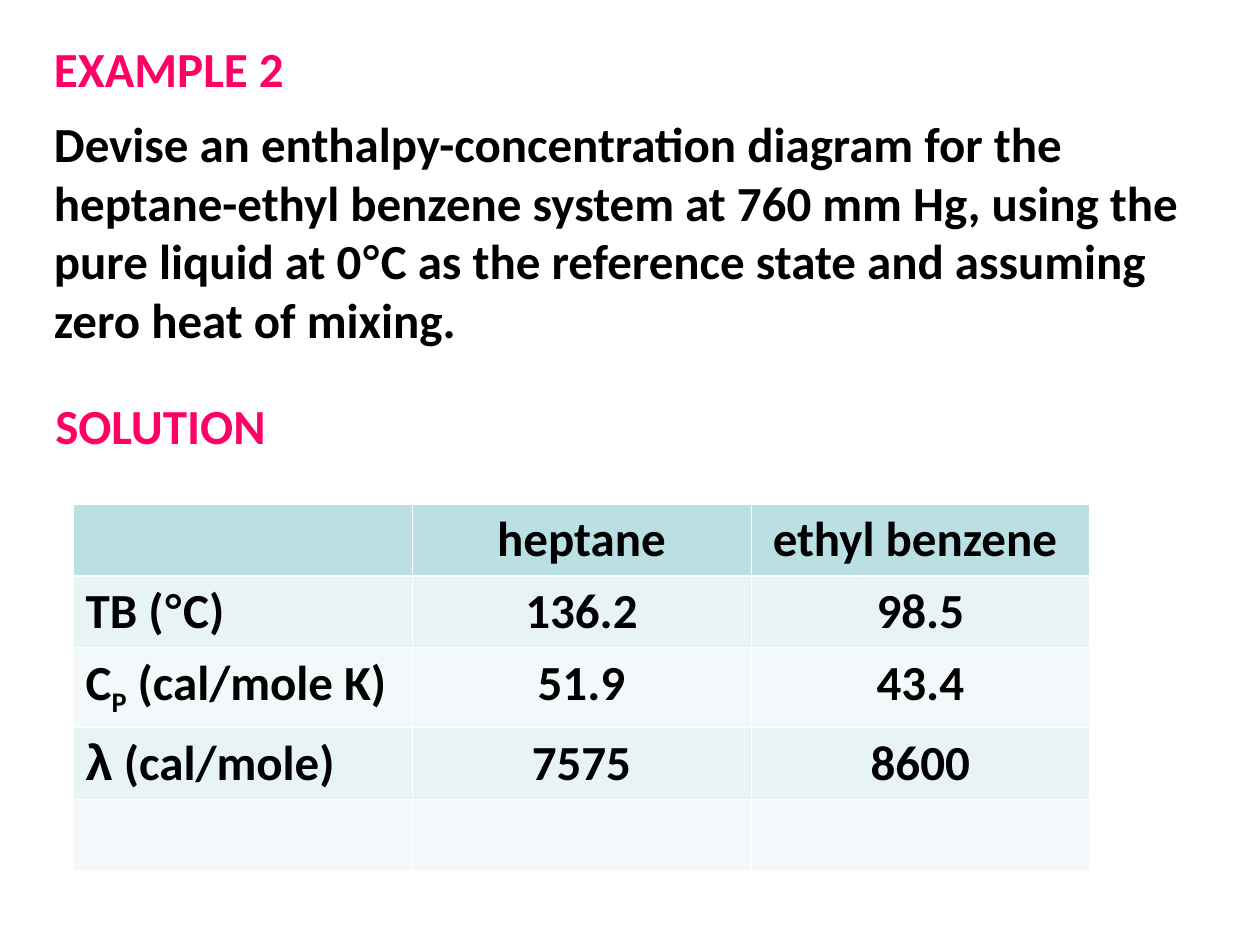
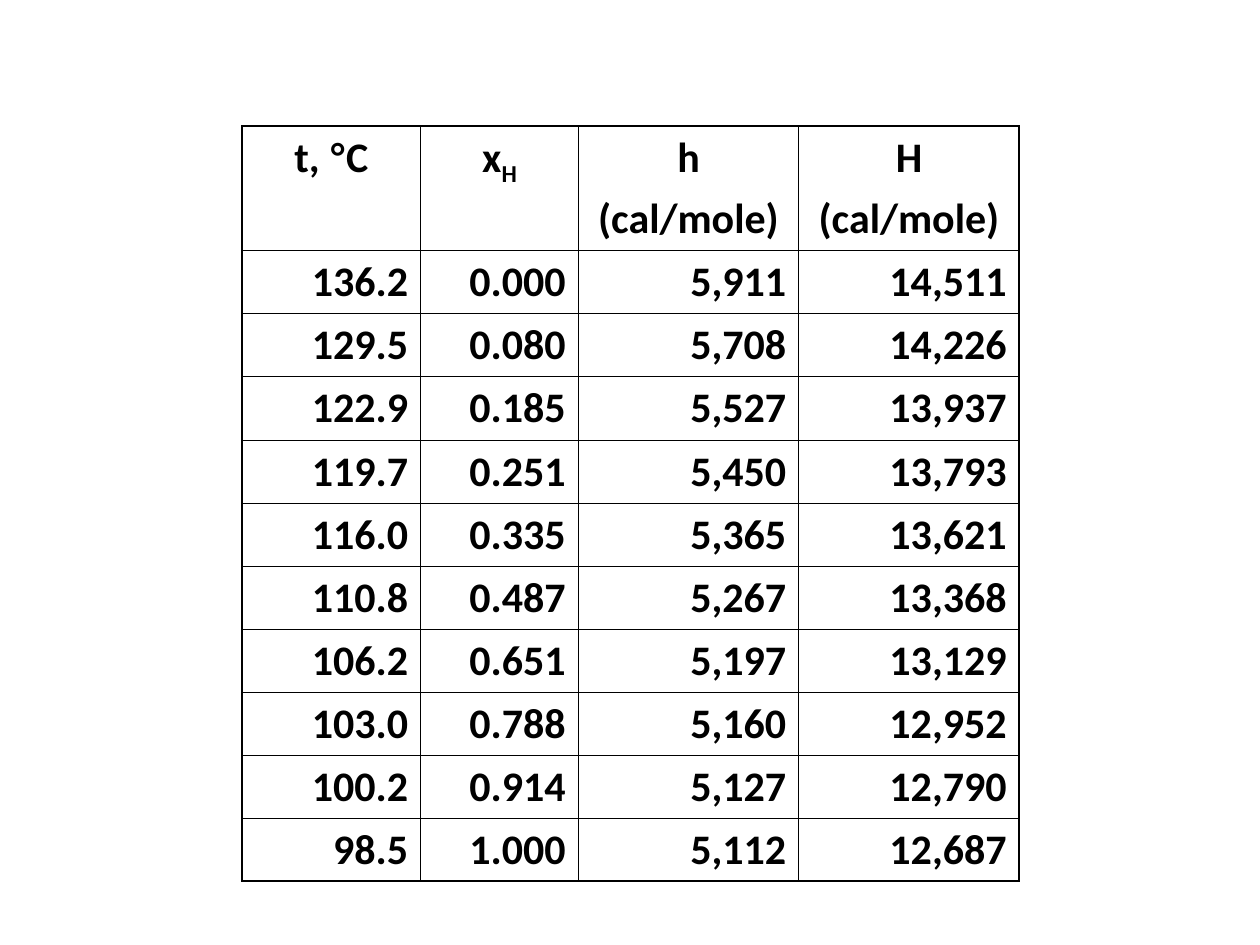
from lxml import etree
from pptx import Presentation
from pptx.dml.color import RGBColor
from pptx.enum.text import MSO_AUTO_SIZE, PP_ALIGN
from pptx.oxml.ns import qn
from pptx.util import Inches, Pt

LEFT, CENTER, RIGHT = PP_ALIGN.LEFT, PP_ALIGN.CENTER, PP_ALIGN.RIGHT
FIT_SHAPE = MSO_AUTO_SIZE.SHAPE_TO_FIT_TEXT

PINK = RGBColor(0xFF, 0x00, 0x66)
BLACK = RGBColor(0x00, 0x00, 0x00)
WHITE = RGBColor(0xFF, 0xFF, 0xFF)
TEAL = RGBColor(0xBB, 0xE0, 0xE3)
TEAL_LIGHT = RGBColor(0xE7, 0xF3, 0xF4)
TEAL_PALE = RGBColor(0xF3, 0xF9, 0xFA)

TEXT_FONT, SYMBOL_FONT = "Calibri", "Arial"
THIN = 0.45


def symbol(text):
    return text, SYMBOL_FONT, False


def subscript(text):
    return text, TEXT_FONT, True


class Deck:
    """Holds the text style and the current slide."""

    def __init__(self):
        self.presentation = Presentation()
        self.presentation.slide_width = Inches(10)
        self.presentation.slide_height = Inches(7.5)
        self.slide = None

    def add_slide(self):
        self.slide = self.presentation.slides.add_slide(self.presentation.slide_layouts[6])

    def add_runs(self, paragraph, runs, size, color=BLACK, align=LEFT):
        """Add runs to a paragraph; plain strings use the text font."""
        paragraph.alignment = align
        for item in [runs] if isinstance(runs, str) else runs:
            text, font, lowered = (item, TEXT_FONT, False) if isinstance(item, str) else item
            run = paragraph.add_run()
            run.text = text
            run.font.name = font
            run.font.size = Pt(size)
            run.font.bold = True
            run.font.color.rgb = color
            if lowered:
                run.font._element.set("baseline", "-25000")

    def text(self, left, top, width, height, runs, color=BLACK, wrap=True):
        box = self.slide.shapes.add_textbox(Inches(left), Inches(top), Inches(width), Inches(height))
        box.text_frame.word_wrap = wrap
        box.text_frame.auto_size = FIT_SHAPE
        self.add_runs(box.text_frame.paragraphs[0], runs, 28, color)

    def heading(self, left, top, width, text):
        self.text(left, top, width, 0.57, text, PINK, wrap=False)

    def border(self, cell, side, color, width):
        line = etree.SubElement(cell._tc.get_or_add_tcPr(), qn(f"a:ln{side}"), w=str(Pt(width)))
        fill = etree.SubElement(line, qn("a:solidFill"))
        etree.SubElement(fill, qn("a:srgbClr"), val=str(color))

    def table(self, left, top, widths, heights, rows, size, aligns, line_color, edge, rule, fills=None):
        """Draw rows of cells; a cell is a list of paragraphs.

        edge is the outer line width and rule the one below the header.
        aligns gives the alignment of a cell from its row and column.
        """
        table = self.slide.shapes.add_table(
            len(rows), len(widths), Inches(left), Inches(top),
            Inches(sum(widths)), Inches(sum(heights))).table
        table.first_row = table.horz_banding = False
        for column, width in zip(table.columns, widths):
            column.width = Inches(width)
        for row, height in zip(table.rows, heights):
            row.height = Inches(height)
        last_row, last_column = len(rows) - 1, len(widths) - 1
        for r, row in enumerate(rows):
            for c, paragraphs in enumerate(row):
                cell = table.cell(r, c)
                self.border(cell, "L", line_color, edge if c == 0 else THIN)
                self.border(cell, "R", line_color, edge if c == last_column else THIN)
                self.border(cell, "T", line_color, edge if r == 0 else rule if r == 1 else THIN)
                self.border(cell, "B", line_color, edge if r == last_row else rule if r == 0 else THIN)
                if fills:
                    cell.fill.solid()
                    cell.fill.fore_color.rgb = fills[r]
                else:
                    cell.fill.background()
                frame = cell.text_frame
                for index, runs in enumerate(paragraphs):
                    paragraph = frame.add_paragraph() if index else frame.paragraphs[0]
                    if index:
                        paragraph.space_before = Pt(6)
                    self.add_runs(paragraph, runs, size, align=aligns(r, c))


def example_slide(deck):
    deck.add_slide()
    # Problem statement
    deck.heading(0.33, 0.26, 2.02, "EXAMPLE 2")
    deck.text(0.33, 0.85, 9.27, 1.97, [
        "Devise an enthalpy-concentration diagram for the heptane-ethyl benzene system "
        "at 760 mm Hg, using the pure liquid at 0", symbol("°"),
        "C as the reference state and assuming zero heat of mixing."])

    # Pure component properties
    deck.heading(0.34, 3.09, 1.88, "SOLUTION")
    properties = [
        [[], ["heptane"], ["ethyl benzene "]],
        [[["TB (", symbol("°"), "C)"]], ["136.2"], ["98.5"]],
        [[["C", subscript("P"), " (cal/mole K)"]], ["51.9"], ["43.4"]],
        [[[symbol("λ"), " (cal/mole)"]], ["7575"], ["8600"]],
        [[], [], []],
    ]
    deck.table(0.58, 4, [2.69] * 3, [0.57, 0.57, 0.63, 0.57, 0.57], properties, 28,
               lambda row, column: CENTER if column else LEFT,
               WHITE, edge=THIN, rule=1.47,
               fills=[TEAL] + [TEAL_LIGHT, TEAL_PALE] * 2)


def enthalpy_slide(deck):
    deck.add_slide()
    # Enthalpies of saturated liquid and vapour
    header = [[["t, ", symbol("°"), "C"]], [["x", subscript("H")]],
              ["h", "(cal/mole)"], ["H", "(cal/mole)"]]
    values = [
        (136.2, 0.000, 5911, 14511),
        (129.5, 0.080, 5708, 14226),
        (122.9, 0.185, 5527, 13937),
        (119.7, 0.251, 5450, 13793),
        (116.0, 0.335, 5365, 13621),
        (110.8, 0.487, 5267, 13368),
        (106.2, 0.651, 5197, 13129),
        (103.0, 0.788, 5160, 12952),
        (100.2, 0.914, 5127, 12790),
        (98.5, 1.000, 5112, 12687),
    ]
    formats = (".1f", ".3f", ",d", ",d")
    rows = [[[format(value, style)] for value, style in zip(row, formats)] for row in values]
    deck.table(1.92, 1, [1.42, 1.25, 1.75, 1.75], [0.99] + [0.5] * len(rows),
               [header] + rows, 24,
               lambda row, column: RIGHT if row else CENTER,
               BLACK, edge=1.08, rule=THIN)


def main():
    deck = Deck()
    example_slide(deck)
    enthalpy_slide(deck)
    deck.presentation.save("out.pptx")


if __name__ == "__main__":
    main()
